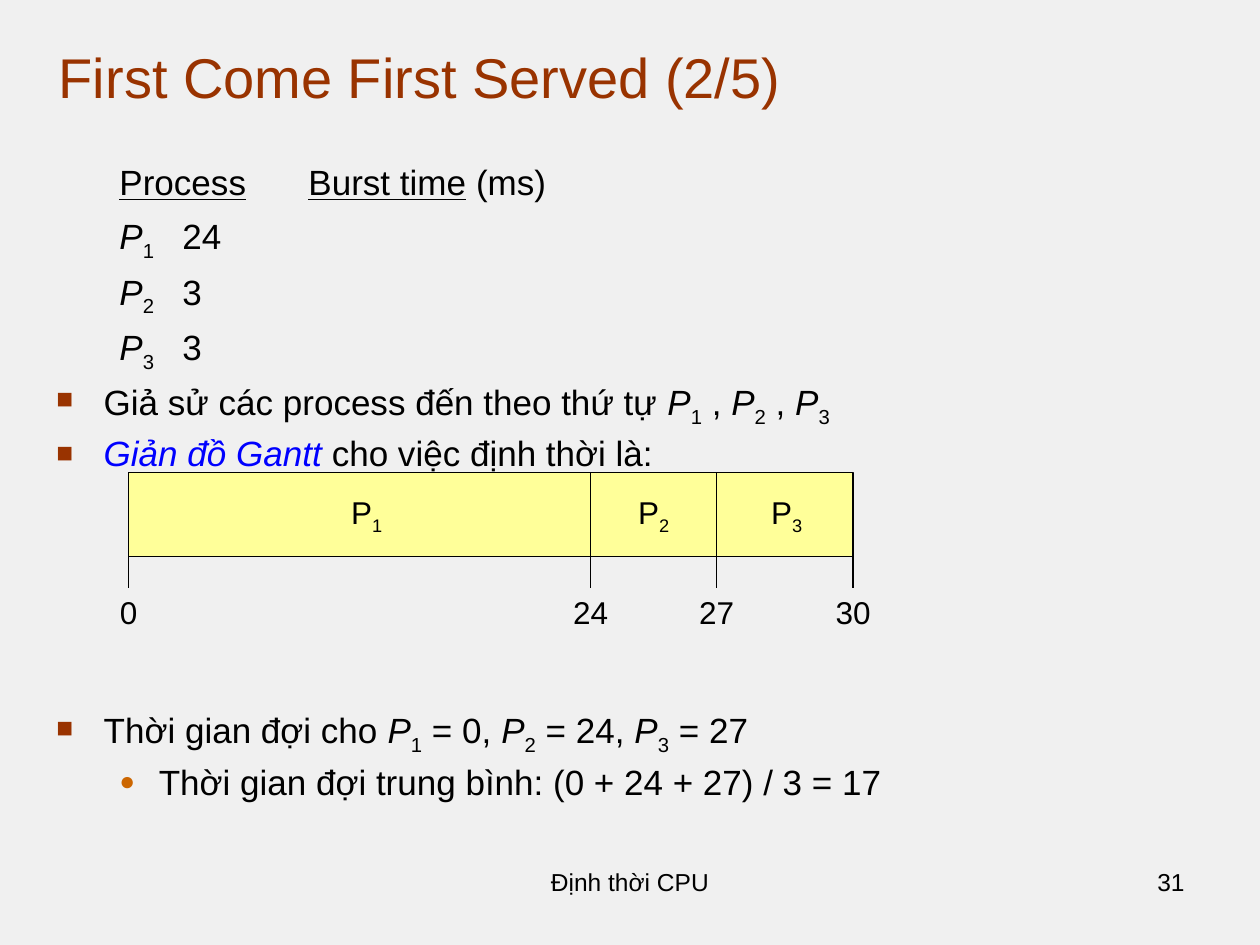
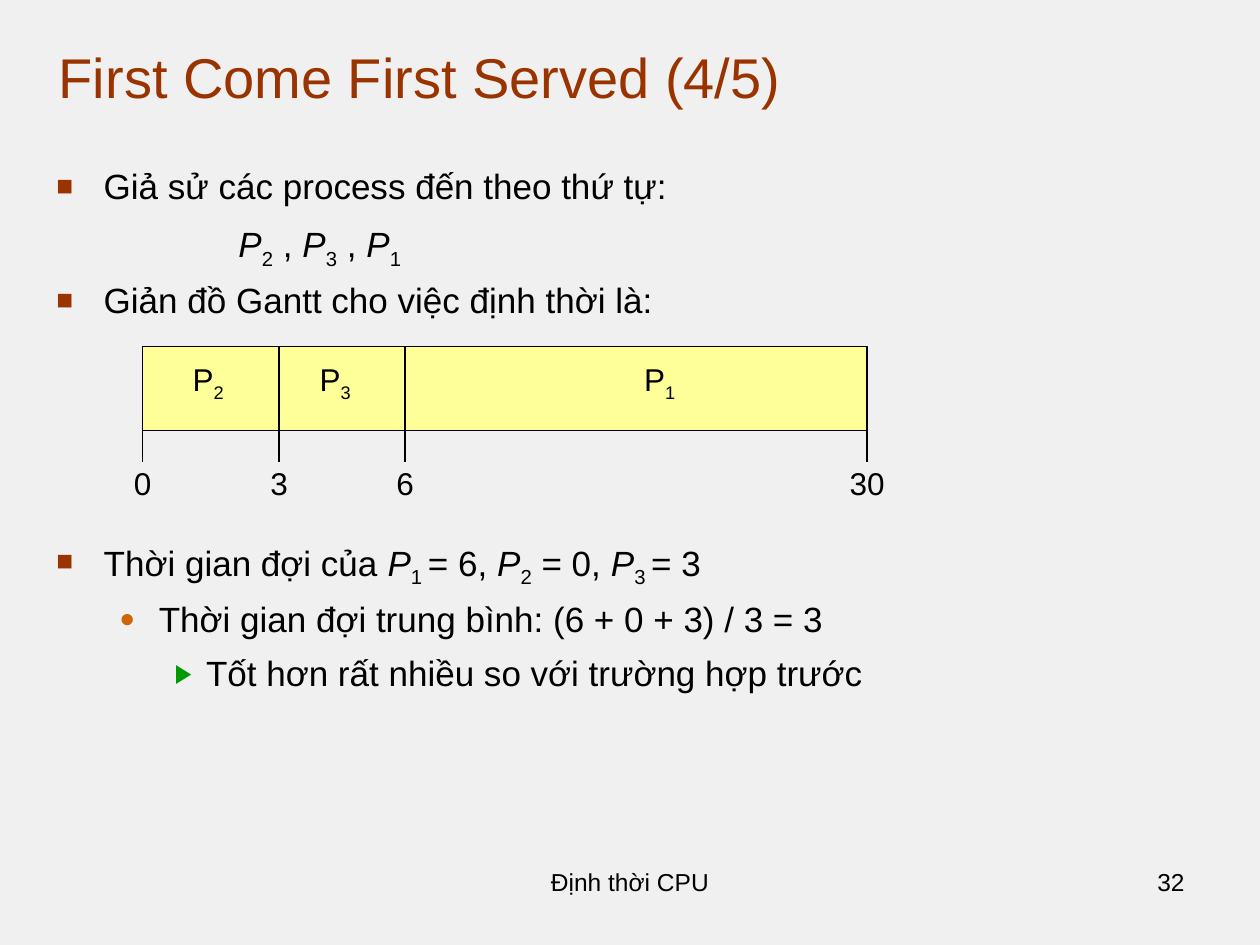
from itertools import accumulate

from lxml import etree
from pptx import Presentation
from pptx.dml.color import RGBColor
from pptx.enum import shapes, text
from pptx.oxml import ns
from pptx.util import Pt

COLORS = {
    "page": "F0F0F0", "title": "993300", "ink": "000000", "term": "0000FF",
    "bar": "FFFF99", "square": "993300", "dot": "CC6600", "arrow": "009900",
}
FONT = "Arial"
TITLE_BOX = (26.5, 18, 663, 48)
BODY_BOX = (25.2, 92.9, 664.5, 392.4)
FOOTER_BOX = (246, 492, 228, 37.5)
NUMBER_BOX = (516, 492, 168, 37.5)
BAR_WIDTH, BAR_HEIGHT, TICK = 414, 48, 18

# Paragraph kinds: left margin, first-line indent, then bullet and tab stops
KINDS = {
    "square": {"margin": 27, "indent": -27, "bullet": ("■", 80)},
    "dot": {"margin": 58.5, "indent": -22.5, "bullet": ("●", 75)},
    "arrow": {"margin": 85.5, "indent": -18, "bullet": ("▶", 75)},
    "heading": {"margin": 0, "indent": 0, "tabs": [(43.6, "l"), (210, "l")]},
    "row": {"margin": 0, "indent": 0, "tabs": [(99, "l"), (264.7, "r")]},
    "order": {"margin": 104, "indent": 0},
}


def color(name):
    return RGBColor.from_string(COLORS[name])


def set_values(target, **values):
    for name, value in values.items():
        setattr(target, name, value)


def process(number, tail=""):
    """Spans for an italic P with a subscript number."""
    return [("P", {"italic": True}), (f"{number}{tail}", {"sub": True})]


def add_spans(para, spans, size, ink="ink"):
    """Spans are plain strings or (string, style) pairs."""
    for item in spans:
        words, style = (item, {}) if isinstance(item, str) else item
        style = dict(style)
        span = para.add_run()
        span.text = words
        if style.pop("sub", False):
            span._r.get_or_add_rPr().set("baseline", "-25000")
        span.font.color.rgb = color(style.pop("ink", ink))
        set_values(span.font, name=FONT, size=Pt(size), **style)


def add_box(parent, box, wrap=True, anchor=text.MSO_ANCHOR.TOP):
    frame = parent.shapes.add_textbox(*map(Pt, box)).text_frame
    set_values(frame, word_wrap=wrap, vertical_anchor=anchor)
    return frame


def add_label(parent, box, spans, size, align, ink="ink", **options):
    para = add_box(parent, box, **options).paragraphs[0]
    para.alignment = align
    add_spans(para, spans, size, ink)


def format_kind(para, kind):
    """Set the indents, bullet and tab stops of a paragraph kind."""
    look = KINDS[kind]
    props = para._p.get_or_add_pPr()
    props.set("marL", str(Pt(look["margin"])))
    props.set("indent", str(Pt(look["indent"])))

    def add(parent, tag, **attributes):
        return etree.SubElement(parent, ns.qn(f"a:{tag}"), attributes)

    if "bullet" in look:
        sign, percent = look["bullet"]
        add(add(props, "buClr"), "srgbClr", val=COLORS[kind])
        add(props, "buSzPct", val=str(percent * 1000))
        add(props, "buFont", typeface=FONT)
        add(props, "buChar", char=sign)
    else:
        add(props, "buNone")
    if "tabs" in look:
        stops = add(props, "tabLst")
        for position, side in look["tabs"]:
            add(stops, "tab", pos=str(Pt(position)), algn=side)


def add_body(page, box, lines, spacing):
    """Lines are (kind, spans) or (kind, spans, space before)."""
    frame = add_box(page, box)
    for index, (kind, spans, *gap) in enumerate(lines):
        para = frame.add_paragraph() if index else frame.paragraphs[0]
        format_kind(para, kind)
        para.line_spacing = spacing
        if index:
            para.space_before = Pt(gap[0] if gap else 9.7)
        add_spans(para, spans, 20)


def add_line(parent, x, top, bottom):
    line = parent.shapes.add_connector(
        shapes.MSO_CONNECTOR.STRAIGHT, Pt(x), Pt(top), Pt(x), Pt(bottom))
    line.line.color.rgb = color("ink")
    line.line.width = Pt(0.75)
    etree.SubElement(line._element.spPr, ns.qn("a:effectLst"))


def add_gantt(page, left, top, bursts, times, name_top, time_top):
    """Bursts are (process number, width, centre of its name)."""
    chart = page.shapes.add_group_shape()
    bar = chart.shapes.add_shape(
        shapes.MSO_SHAPE.RECTANGLE, *map(Pt, (left, top, BAR_WIDTH, BAR_HEIGHT)))
    bar.shadow.inherit = False
    bar.fill.solid()
    bar.fill.fore_color.rgb = color("bar")
    bar.line.color.rgb = color("ink")
    bar.line.width = Pt(0.75)

    def add_mark(center, offset, width, height, spans):
        add_label(chart, (left + center - width / 2, top + offset, width, height),
                  spans, 18, text.PP_ALIGN.CENTER,
                  wrap=False, anchor=text.MSO_ANCHOR.MIDDLE)

    for number, _, center in bursts:
        add_mark(center, name_top, 32.4, 31.7, ["P", (str(number), {"sub": True})])
    edges = accumulate((width for _, width, _ in bursts), initial=0)
    bottom = top + BAR_HEIGHT
    for edge, time in zip(edges, times):
        if 0 < edge < BAR_WIDTH:
            add_line(chart, left + edge, top, bottom)
        add_line(chart, left + edge, bottom, bottom + TICK)
        add_mark(edge, time_top, 34.5, 28.8, [str(time)])


def add_page(deck, title, number):
    page = deck.slides.add_slide(deck.slide_layouts[6])
    page.background.fill.solid()
    page.background.fill.fore_color.rgb = color("page")
    add_label(page, FOOTER_BOX, ["Định thời CPU"], 14, text.PP_ALIGN.CENTER)
    add_label(page, NUMBER_BOX, [str(number)], 14, text.PP_ALIGN.RIGHT)
    add_label(page, TITLE_BOX, [title], 32, text.PP_ALIGN.LEFT, "title",
              anchor=text.MSO_ANCHOR.BOTTOM)
    return page


def add_long_first(deck):
    page = add_page(deck, "First Come First Served (2/5)", 31)
    underlined = {"underline": True}
    rows = [("row", ["\t", *process(number), f"\t{burst}"])
            for number, burst in ((1, 24), (2, 3), (3, 3))]
    add_body(page, BODY_BOX, [
        ("heading", ["\t", ("Process", underlined), "\t",
                     ("Burst time", underlined), " (ms)"]),
        *rows,
        ("square", ["Giả sử các process đến theo thứ tự ", *process(1), " , ",
                    *process(2), " , ", *process(3)]),
        ("square", [("Giản đồ Gantt", {"italic": True, "ink": "term"}),
                    " cho việc định thời là:"]),
        ("square", ["Thời gian đợi cho ", *process(1), " = 0, ", *process(2),
                    " = 24, ", *process(3), " = 27"], 137),
        ("dot", ["Thời gian đợi trung bình: (0 + 24 + 27) / 3 = 17"]),
    ], 0.8)
    add_gantt(page, 73.5, 270, [(1, 264, 136), (2, 72, 300), (3, 78, 376)],
              (0, 24, 27, 30), 8, 65.5)


def add_short_first(deck):
    page = add_page(deck, "First Come First Served (4/5)", 32)
    add_body(page, BODY_BOX, [
        ("square", ["Giả sử các process đến theo thứ tự:"]),
        ("order", [*process(2), " , ", *process(3), " , ", *process(1)]),
        ("square", ["Giản đồ Gantt cho việc định thời là:"]),
        ("square", ["Thời gian đợi của ", *process(1, " "), "= 6, ", *process(2),
                    " = 0, ", *process(3, " "), "= 3"], 126),
        ("dot", ["Thời gian đợi trung bình: (6 + 0 + 3) / 3 = 3"]),
        ("arrow", ["Tốt hơn rất nhiều so với trường hợp trước"]),
    ], 0.9)
    add_gantt(page, 81.5, 198, [(2, 78, 37.5), (3, 72, 110), (1, 264, 295.5)],
              (0, 3, 6, 30), 4.3, 63.5)


def main():
    deck = Presentation()
    set_values(deck, slide_width=Pt(720), slide_height=Pt(540))
    add_long_first(deck)
    add_short_first(deck)
    deck.save("out.pptx")


if __name__ == "__main__":
    main()
